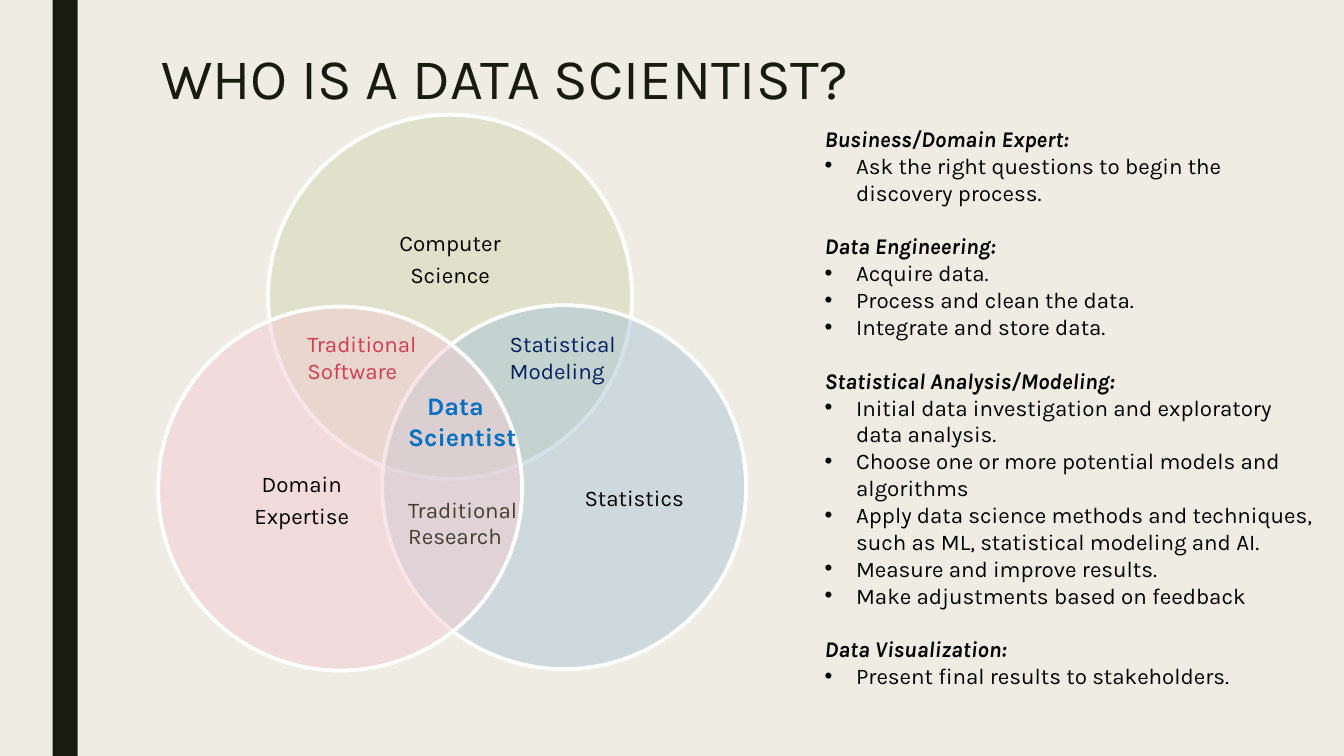
from dataclasses import dataclass

from lxml.etree import SubElement
from pptx import Presentation
from pptx.dml.color import RGBColor
from pptx.enum.shapes import MSO_SHAPE
from pptx.enum.text import MSO_ANCHOR, MSO_AUTO_SIZE, PP_ALIGN
from pptx.oxml.ns import qn
from pptx.util import Pt

FONT = "Karla"
CIRCLE_SIZE = 260
BULLET_INDENT = 22.5


@dataclass
class Circle:
    left: float
    top: float
    color: str
    lines: list[str]
    label: tuple[float, float, float, float]


@dataclass
class Overlap:
    left: float
    top: float
    color: str
    lines: list[str]
    size: float = 16
    bold: bool = False
    first_indent: float = 0


@dataclass
class Role:
    heading: str
    tasks: list[str]


CIRCLES = [
    Circle(191.5, 82, "D1D7B2", ["Computer", "Science"], (226, 127.5, 191, 116.5)),
    Circle(273, 218, "ADC7D6", ["Statistics"], (375, 285, 156, 143.5)),
    Circle(113, 219, "F3CDD4", ["Domain", "Expertise"], (137.5, 286, 156, 143.5)),
]
OVERLAPS = [
    Overlap(357, 232.5, "002060", ["Statistical Modeling"]),
    Overlap(212.5, 232.5, "D13B56", ["Traditional", "Software"]),
    Overlap(284.5, 350.5, "443E30", ["Traditional", "Research"]),
    Overlap(284.5, 275.5, "0070C0", ["Data Scientist"], 18, True, 13.5),
]
ROLES = [
    Role("Business/Domain Expert:",
         ["Ask the right questions to begin the discovery process."]),
    Role("Data Engineering:",
         ["Acquire data.", "Process and clean the data.", "Integrate and store data."]),
    Role("Statistical Analysis/Modeling:",
         ["Initial data investigation and exploratory data analysis.",
          "Choose one or more potential models and algorithms",
          "Apply data science methods and techniques, such as ML, "
          "statistical modeling and AI.",
          "Measure and improve results.",
          "Make adjustments based on feedback"]),
    Role("Data Visualization:", ["Present final results to stakeholders."]),
]


def paint(target, color: str) -> None:
    """Give a fill a solid colour."""
    target.solid()
    target.fore_color.rgb = RGBColor.from_string(color)


def place(shape, left: float, top: float, width: float, height: float) -> None:
    shape.left, shape.top = Pt(left), Pt(top)
    shape.width, shape.height = Pt(width), Pt(height)


def style(para, size: float, color: str, bold: bool = False, italic: bool = False) -> None:
    for span in para.runs:
        font = span.font
        font.name, font.size = FONT, Pt(size)
        font.bold, font.italic = bold, italic
        font.color.rgb = RGBColor.from_string(color)


def add_box(slide, left: float, top: float, width: float, height: float, lines: list[str]):
    frame = slide.shapes.add_textbox(Pt(left), Pt(top), Pt(width), Pt(height)).text_frame
    frame.word_wrap = True
    frame.text = "\n".join(lines)
    return frame


def add_circle(slide, circle: Circle) -> None:
    disc = slide.shapes.add_shape(MSO_SHAPE.OVAL, Pt(circle.left), Pt(circle.top),
                                  Pt(CIRCLE_SIZE), Pt(CIRCLE_SIZE))
    disc.shadow.inherit = False
    paint(disc.fill, circle.color)
    tint = disc.fill._xPr.find(qn("a:solidFill"))[0]
    SubElement(tint, qn("a:alpha"), val="50000")
    paint(disc.line.fill, "FFFFFF")
    disc.line.width = Pt(2.75)

    frame = add_box(slide, *circle.label, circle.lines)
    frame.margin_left = frame.margin_right = frame.margin_top = frame.margin_bottom = 0
    frame.vertical_anchor = MSO_ANCHOR.MIDDLE
    for para in frame.paragraphs:
        para.alignment = PP_ALIGN.CENTER
        para.line_spacing = 0.9
        para.space_after = Pt(5.6)
        style(para, 16, "000000")


def add_overlap(slide, overlap: Overlap) -> None:
    frame = add_box(slide, overlap.left, overlap.top, 93.6, 46, overlap.lines)
    for para in frame.paragraphs:
        style(para, overlap.size, overlap.color, overlap.bold)
        para._p.get_or_add_pPr().set("indent", str(Pt(overlap.first_indent)))


def set_bullet(para, bulleted: bool) -> None:
    indent = Pt(BULLET_INDENT) if bulleted else 0
    properties = para._p.get_or_add_pPr()
    properties.set("marL", str(indent))
    properties.set("indent", str(-indent))
    if bulleted:
        SubElement(properties, qn("a:buFont"), typeface="Arial")
        SubElement(properties, qn("a:buChar"), char="•")
    else:
        SubElement(properties, qn("a:buNone"))


def fill_roles(body) -> None:
    place(body, 581.8, 85.7, 365.8, 414.7)
    frame = body.text_frame
    frame.auto_size = MSO_AUTO_SIZE.NONE
    frame.text = "\n".join(line for role in ROLES for line in (role.heading, *role.tasks))
    headings = [role.heading for role in ROLES]
    for index, para in enumerate(frame.paragraphs):
        is_heading = para.text in headings
        para.space_before = Pt(19.2 if is_heading and index else 0)
        set_bullet(para, not is_heading)
        style(para, 16, "000000", is_heading, is_heading)


def fill_title(title) -> None:
    place(title, 108, 29.5, 756, 57)
    frame = title.text_frame
    frame.text = "WHO IS A DATA SCIENTIST?"
    frame.auto_size = MSO_AUTO_SIZE.NONE
    frame.vertical_anchor = MSO_ANCHOR.MIDDLE
    para = frame.paragraphs[0]
    para.alignment = PP_ALIGN.LEFT
    para.line_spacing = 0.89
    style(para, 41, "191B0E")


def main() -> None:
    deck = Presentation()
    deck.slide_width, deck.slide_height = Pt(960), Pt(540)
    page = deck.slides.add_slide(deck.slide_layouts[1])
    paint(page.background.fill, "EFEDE3")

    # Side bar
    bar = page.shapes.add_shape(MSO_SHAPE.RECTANGLE, Pt(37.5), 0, Pt(18), Pt(540))
    bar.shadow.inherit = False
    paint(bar.fill, "191B0E")
    bar.line.fill.background()

    # Title and list of roles
    fill_title(page.shapes.title)
    fill_roles(page.placeholders[1])

    # Venn diagram
    for circle in CIRCLES:
        add_circle(page, circle)
    for overlap in OVERLAPS:
        add_overlap(page, overlap)

    deck.save("out.pptx")


if __name__ == "__main__":
    main()
